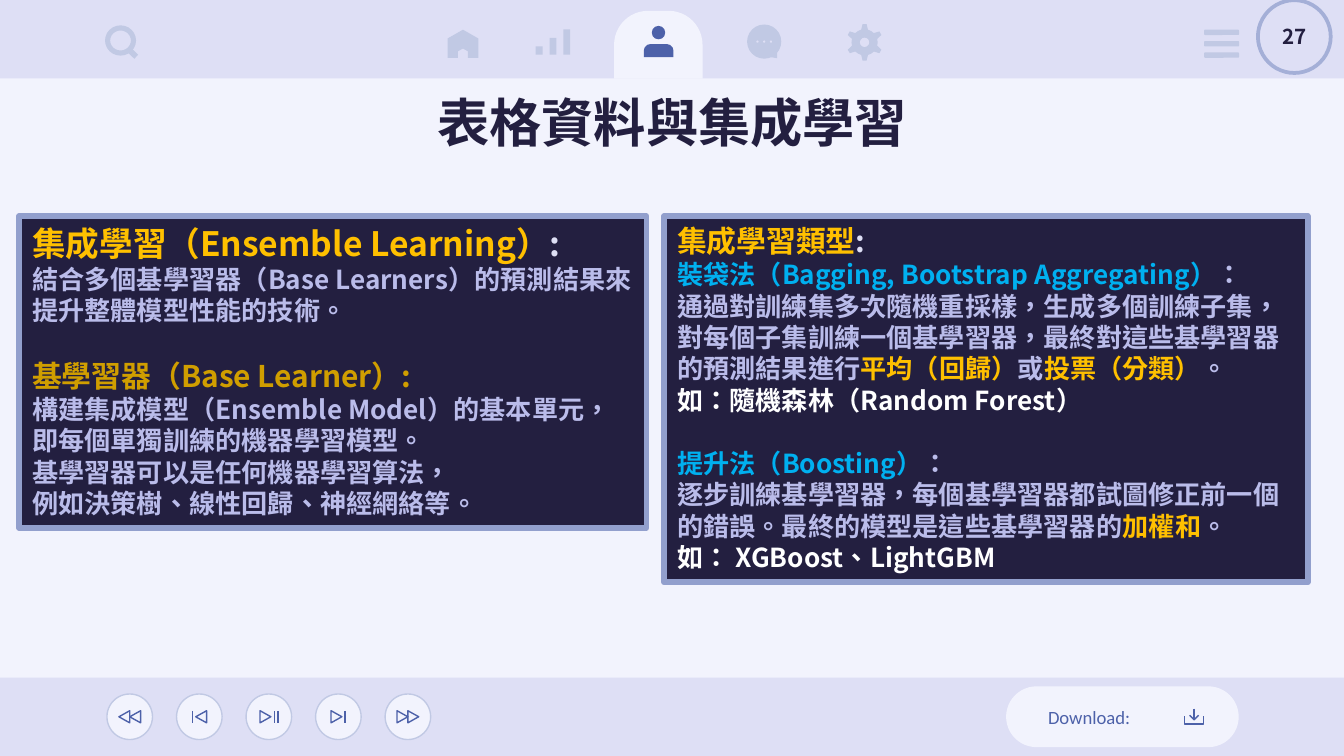
from lxml.etree import SubElement
from pptx import Presentation
from pptx.dml.color import RGBColor
from pptx.enum.lang import MSO_LANGUAGE_ID
from pptx.enum.shapes import MSO_CONNECTOR, MSO_SHAPE
from pptx.enum.text import MSO_ANCHOR, MSO_AUTO_SIZE, PP_ALIGN
from pptx.oxml.ns import qn
from pptx.util import Pt

PALE, BAR, ICON, INK = "F2F3FD", "DEDFF5", "C1C9E4", "4D61A9"
NAVY, FRAME, RING = "231F40", "929FCD", "A4AFD7"
LILAC, GOLD, OCHRE, CYAN, WHITE = "BABCEA", "FFC000", "D09E00", "00B0F0", "FFFFFF"
HAN = "Noto Sans CJK SC"


def color(code):
    return RGBColor.from_string(code)


class Painter:
    """Holds the deck style and the current page, and draws each kind of element."""

    def __init__(self, page):
        self.page = page
        self.shapes = page.shapes
        page.background.fill.solid()
        page.background.fill.fore_color.rgb = color(PALE)

    def finish(self, shape, fill, line, width):
        shape.shadow.inherit = False
        if fill:
            shape.fill.solid()
            shape.fill.fore_color.rgb = color(fill)
        else:
            shape.fill.background()
        if line:
            shape.line.color.rgb = color(line)
            shape.line.width = Pt(width)
        else:
            shape.line.fill.background()
        return shape

    def shape(self, kind, left, top, width, height, fill=None, line=None,
              weight=0.75, adjust=(), turn=0):
        shape = self.shapes.add_shape(kind, Pt(left), Pt(top), Pt(width), Pt(height))
        for index, value in enumerate(adjust):
            shape.adjustments[index] = value
        shape.rotation = turn
        return self.finish(shape, fill, line, weight)

    def disc(self, x, y, size, fill, line=None, weight=0.75):
        return self.shape(MSO_SHAPE.OVAL, x - size / 2, y - size / 2, size, size,
                          fill, line, weight)

    def outline(self, points, fill=None, line=None, close=True):
        corners = [(Pt(x), Pt(y)) for x, y in points]
        builder = self.shapes.build_freeform(*corners[0])
        builder.add_line_segments(corners[1:], close=close)
        return self.finish(builder.convert_to_shape(), fill, line, 0.75)

    def line(self, x1, y1, x2, y2, stroke=INK, width=0.75):
        line = self.shapes.add_connector(MSO_CONNECTOR.STRAIGHT, Pt(x1), Pt(y1), Pt(x2), Pt(y2))
        line.line.color.rgb = color(stroke)
        line.line.width = Pt(width)
        SubElement(line.element.spPr, qn("a:effectLst"))

    def span(self, para, text, size, code, font=HAN, bold=True):
        span = para.add_run()
        span.text = text
        span.font.size = Pt(size)
        span.font.bold = bold
        span.font.color.rgb = color(code)
        span.font.name = font
        span.font.language_id = MSO_LANGUAGE_ID.TRADITIONAL_CHINESE
        SubElement(span.font._element, qn("a:ea"), typeface=font)

    def label(self, box, text, size, code, align=PP_ALIGN.CENTER, font=HAN, bold=True, inset=7.2):
        frame = box.text_frame
        frame.word_wrap = True
        frame.vertical_anchor = MSO_ANCHOR.MIDDLE
        frame.margin_left = frame.margin_right = Pt(inset)
        frame.margin_top = frame.margin_bottom = Pt(inset)
        para = frame.paragraphs[0]
        para.alignment = align
        self.span(para, text, size, code, font, bold)

    def text_box(self, left, top, width, height):
        return self.shapes.add_textbox(Pt(left), Pt(top), Pt(width), Pt(height))

    def panel(self, left, top, width, height, paragraphs):
        box = self.shape(MSO_SHAPE.RECTANGLE, left, top, width, height, NAVY, FRAME, 3)
        frame = box.text_frame
        frame.word_wrap = True
        frame.auto_size = MSO_AUTO_SIZE.SHAPE_TO_FIT_TEXT
        frame.vertical_anchor = MSO_ANCHOR.TOP
        for index, (gap, size, spans) in enumerate(paragraphs):
            para = frame.add_paragraph() if index else frame.paragraphs[0]
            para.alignment = PP_ALIGN.LEFT
            para.space_before = Pt(gap)
            for text, code in spans:
                self.span(para, text, size, code)

    def button(self, x, y, arrows, bars, turn):
        self.disc(x, y, 24.4, PALE, ICON)
        for shift in arrows:
            self.shape(MSO_SHAPE.ISOSCELES_TRIANGLE, x + shift - 3.25, y - 2.9, 6.5, 5.8,
                       line=INK, turn=turn)
        for shift in bars:
            self.line(x + shift, y - 3.2, x + shift, y + 3.2)


def draw_top_bar(painter):
    painter.shape(MSO_SHAPE.RECTANGLE, 0, 0, 720, 42, BAR)
    painter.shape(MSO_SHAPE.ROUND_2_SAME_RECTANGLE, 329, 5.8, 47.4, 36.4, PALE, adjust=(0.5, 0))
    painter.disc(352.8, 17.5, 7.2, INK)
    painter.shape(MSO_SHAPE.ROUND_2_SAME_RECTANGLE, 344.9, 23.6, 15.9, 7, INK, adjust=(0.5, 0))
    painter.outline([(248, 15.9), (239.8, 20.6), (239.8, 31), (245.3, 31), (245.3, 27.5), (248, 26),
                     (250.7, 27.5), (250.7, 31), (256.2, 31), (256.2, 20.6)], ICON)
    for step in range(3):
        height = 4.5 * (step + 1)
        painter.shape(MSO_SHAPE.RECTANGLE, 287 + 7.4 * step, 29.3 - height, 3.7, height, ICON)
    painter.disc(409.4, 22.3, 18.3, ICON)
    painter.outline([(412, 30.5), (416.3, 31.2), (416.3, 27)], ICON)
    for x in (405.8, 409.4, 413):
        painter.disc(x, 22.3, 1.2, BAR)
    painter.shape(MSO_SHAPE.GEAR_6, 453.2, 12.7, 20, 20, ICON)
    painter.disc(463.2, 22.7, 5, BAR)
    for step in range(3):
        painter.shape(MSO_SHAPE.ROUNDED_RECTANGLE, 645.1, 15.9 + 6.1 * step, 18.7, 2.9, ICON,
                      adjust=(0.2,))
    painter.shape(MSO_SHAPE.DONUT, 56.3, 13.6, 16.6, 16.2, ICON, adjust=(0.17,))
    painter.line(69, 26.6, 73, 30.4, ICON, 3)


def draw_bottom_bar(painter):
    painter.shape(MSO_SHAPE.RECTANGLE, 0, 363, 720, 42, BAR)
    buttons = [((2.9, -2.9), (), 270), ((1,), (-3.6,), 270), ((-1.8,), (2.9, 5), 90),
               ((-1,), (3.6,), 90), ((-2.9, 2.9), (), 90)]
    for index, (arrows, bars, turn) in enumerate(buttons):
        painter.button(69.5 + 37.25 * index, 384, arrows, bars, turn)
    painter.shape(MSO_SHAPE.ROUNDED_RECTANGLE, 539, 367.7, 124.6, 32.6, PALE, adjust=(0.5,))
    painter.outline([(634.6, 383.8), (634.6, 387.8), (644.9, 387.8), (644.9, 383.8)],
                    line=INK, close=False)
    painter.line(639.7, 379.6, 639.7, 385.4)
    painter.outline([(637.3, 383.2), (639.7, 385.6), (642.1, 383.2)], line=INK, close=False)
    painter.label(painter.text_box(554.4, 375.8, 69, 17), "Download:", 10, INK,
                  PP_ALIGN.LEFT, "Calibri", False)


def draw_content(painter):
    painter.label(painter.text_box(56.6, 42.4, 607, 45.4), "表格資料與集成學習", 28, NAVY)
    painter.panel(10.2, 115.8, 336.2, 167, [
        (0, 18, [("集成學習（Ensemble Learning）", GOLD), (":", BAR)]),
        (0, 14, [("結合多個基學習器（Base Learners）的預測結果來提升整體模型性能的技術。", LILAC)]),
        (17, 16, [("基學習器（Base Learner）:", OCHRE)]),
        (0, 14, [("構建集成模型（Ensemble Model）的基本單元，", LILAC)]),
        (0, 14, [("即每個單獨訓練的機器學習模型。", LILAC)]),
        (0, 14, [("基學習器可以是任何機器學習算法，", LILAC)]),
        (0, 14, [("例如決策樹、線性回歸、神經網絡等。", LILAC)]),
    ])
    painter.panel(355.7, 115.8, 344.9, 196.2, [
        (0, 16, [("集成學習類型", GOLD), (":", BAR)]),
        (0, 14, [("裝袋法（Bagging, Bootstrap Aggregating）", CYAN), ("：", LILAC)]),
        (0, 14, [("通過對訓練集多次隨機重採樣，生成多個訓練子集，對每個子集訓練一個基學習器，"
                  "最終對這些基學習器的預測結果進行", LILAC), ("平均（回歸）", GOLD),
                 ("或", LILAC), ("投票（分類）", GOLD), ("。", LILAC)]),
        (0, 14, [("如：隨機森林（Random Forest）", WHITE)]),
        (17, 14, [("提升法（Boosting）", CYAN), ("：", LILAC)]),
        (0, 14, [("逐步訓練基學習器，每個基學習器都試圖修正前一個的錯誤。"
                  "最終的模型是這些基學習器的", LILAC), ("加權和", GOLD), ("。", LILAC)]),
        (0, 14, [("如： XGBoost、LightGBM", WHITE)]),
    ])
    badge = painter.disc(693.4, 19.6, 39, BAR, RING, 2)
    painter.label(badge, "27", 11, NAVY, inset=3.6)


def main():
    deck = Presentation()
    deck.slide_width, deck.slide_height = Pt(720), Pt(405)
    painter = Painter(deck.slides.add_slide(deck.slide_layouts[6]))
    draw_bottom_bar(painter)
    draw_top_bar(painter)
    draw_content(painter)
    deck.save("out.pptx")


if __name__ == "__main__":
    main()
